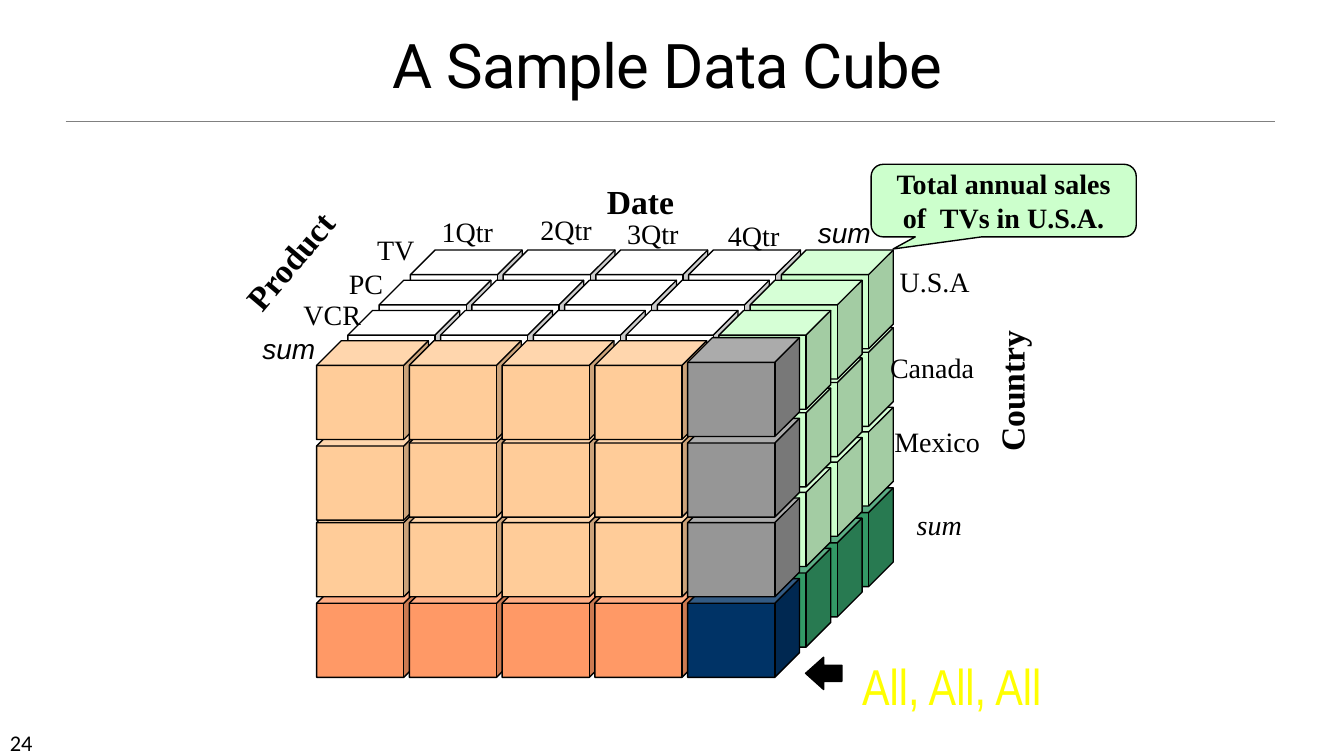
from itertools import product
from lxml.etree import SubElement
from pptx import Presentation
from pptx.dml.color import RGBColor
from pptx.enum.shapes import MSO_CONNECTOR, MSO_SHAPE
from pptx.enum.text import MSO_ANCHOR, PP_ALIGN
from pptx.oxml.ns import qn
from pptx.util import Inches, Pt

# Content: text, left, top, width, height (inches)
TITLE = ("A Sample Data Cube", 2.33, 0.38, 8.58, 0.63)
PAGE_NUMBER = ("24", 0, 7.18, 1.17, 0.3)
ALL_CELL = ("All, All, All", 8.44, 6.45, 2, 0.5)
CALLOUT = ("Total annual sales\nof  TVs in U.S.A.", 8.64, 1.63, 2.63, 0.72)
AXES = [  # with rotation in degrees
    (("Date", 5.92, 1.75, 0.87, 0.5), 0),
    (("Product", 2.2, 2.33, 1.35, 0.5), 310.3),
    (("Country", 9.32, 3.62, 1.42, 0.5), 270),
]
MEMBERS = [
    ("TV", 3.64, 2.26, 0.57, 0.43),
    ("PC", 3.36, 2.59, 0.54, 0.43),
    ("VCR", 2.91, 2.9, 0.77, 0.43),
    ("1Qtr", 4.28, 2.08, 0.71, 0.43),
    ("2Qtr", 5.26, 2.06, 0.71, 0.43),
    ("3Qtr", 6.12, 2.1, 0.71, 0.43),
    ("4Qtr", 7.12, 2.12, 0.71, 0.43),
    ("U.S.A", 8.82, 2.57, 0.9, 0.43),
    ("Canada", 8.73, 3.43, 1.03, 0.43),
    ("Mexico", 8.77, 4.16, 1.05, 0.43),
]
SUMS = [
    (("sum", 2.5, 3.24, 0.73, 0.43), "Arial"),
    (("sum", 8.01, 2.09, 0.73, 0.43), "Arial"),
    (("sum", 8.99, 4.99, 0.65, 0.43), "Times New Roman"),
]
COLORS = {
    "black": "000000", "rule": "808080", "yellow": "FFFF00",
    "detail": "FFFFFF", "date sum": "CCFFCC", "date country sum": "339966",
    "product sum": "FFCC99", "product country sum": "FF9966",
    "product date sum": "969696", "grand total": "003366",
}

# Cube grid: products run back to front, countries downward, dates rightward
PRODUCTS, COUNTRIES, DATES = 4, 4, 5
ORIGIN_X, ORIGIN_Y = 4.07, 2.48
DATE_STEP = 0.92
COUNTRY_OFFSETS = (0, 0.77, 1.56, 2.36)
PRODUCT_STEP_X, PRODUCT_STEP_Y = -0.31, 0.3
CELL_WIDTH, CELL_HEIGHT = 1.11, 0.98
NUDGES = {(3, 0, 4): -0.03, (3, 1, 0): 0.03}

SERIF = "Times New Roman"

deck = Presentation()
deck.slide_width, deck.slide_height = Inches(13.33), Inches(7.5)
page = deck.slides.add_slide(deck.slide_layouts[6])


def rgb(name):
    return RGBColor.from_string(COLORS[name])


def write(frame, text, font, size, color="black", bold=False, italic=False,
          align=PP_ALIGN.CENTER):
    frame.text = text
    for para in frame.paragraphs:
        para.alignment = align
        para.font.name, para.font.size = font, Pt(size)
        para.font.bold, para.font.italic = bold, italic
        para.font.color.rgb = rgb(color)


def add_label(label, font, size, align=PP_ALIGN.CENTER, **style):
    text, *place = label
    box = page.shapes.add_textbox(*map(Inches, place))
    frame = box.text_frame
    frame.word_wrap = False
    if align == PP_ALIGN.CENTER:  # full box width for the text
        frame.margin_left = frame.margin_right = 0
    write(frame, text, font, size, align=align, **style)
    return box


def add_solid(kind, place, color, adjustments):
    shape = page.shapes.add_shape(kind, *map(Inches, place))
    shape.shadow.inherit = False
    shape.fill.solid()
    shape.fill.fore_color.rgb = rgb(color)
    shape.line.color.rgb = rgb("black")
    shape.line.width = Pt(1)
    for index, value in enumerate(adjustments):
        shape.adjustments[index] = value
    return shape


def cell_color(layer, row, column):
    product_sum = layer == PRODUCTS - 1
    country_sum = row == COUNTRIES - 1
    date_sum = column == DATES - 1
    if product_sum and country_sum and date_sum:
        return "grand total"
    summed = [name for name, on in (("product", product_sum), ("date", date_sum),
                                    ("country", country_sum)) if on]
    return " ".join(summed + ["sum"]) if summed else "detail"


# Title, rule and page number
title = add_label(TITLE, "Roboto", 44)
title.text_frame.vertical_anchor = MSO_ANCHOR.MIDDLE
heading = title.text_frame.paragraphs[0]
heading.line_spacing = 0.85
heading.runs[0].font._element.set("spc", "-50")
rule = page.shapes.add_connector(
    MSO_CONNECTOR.STRAIGHT, Inches(0.65), Inches(1.2), Inches(12.65), Inches(1.2))
rule.line.color.rgb, rule.line.width = rgb("rule"), Pt(0.5)
SubElement(rule._element.spPr, qn("a:effectLst"))
add_label(PAGE_NUMBER, "Calibri", 16, align=PP_ALIGN.LEFT).text_frame.word_wrap = True

# Callout
callout_text, *callout_place = CALLOUT
callout = add_solid(MSO_SHAPE.ROUNDED_RECTANGULAR_CALLOUT, callout_place,
                    "date sum", (-0.417, 0.667, 0.167))
callout.text_frame.word_wrap = False
callout.text_frame.vertical_anchor = MSO_ANCHOR.MIDDLE
write(callout.text_frame, callout_text, SERIF, 20, bold=True)

# Axis names
for label, angle in AXES:
    add_label(label, SERIF, 24, bold=True, align=PP_ALIGN.LEFT).rotation = angle

# Grand total pointer
add_label(ALL_CELL, "Arial Narrow", 36, color="yellow")
add_solid(MSO_SHAPE.LEFT_ARROW, (7.99, 6.52, 0.36, 0.32), "black", (0.5, 0.559))

# Visible cells, from the back and bottom to the front and top
for layer, row, column in product(
        range(PRODUCTS), reversed(range(COUNTRIES)), range(DATES)):
    if layer == PRODUCTS - 1 or row == 0 or column == DATES - 1:
        left = ORIGIN_X + column * DATE_STEP + layer * PRODUCT_STEP_X
        top = (ORIGIN_Y + COUNTRY_OFFSETS[row] + layer * PRODUCT_STEP_Y
               + NUDGES.get((layer, row, column), 0))
        add_solid(MSO_SHAPE.CUBE, (left, top, CELL_WIDTH, CELL_HEIGHT),
                  cell_color(layer, row, column), (0.25,))

# Member names
for label in MEMBERS:
    add_label(label, SERIF, 20)
for label, font in SUMS:
    add_label(label, font, 20, italic=True)

deck.save("out.pptx")
